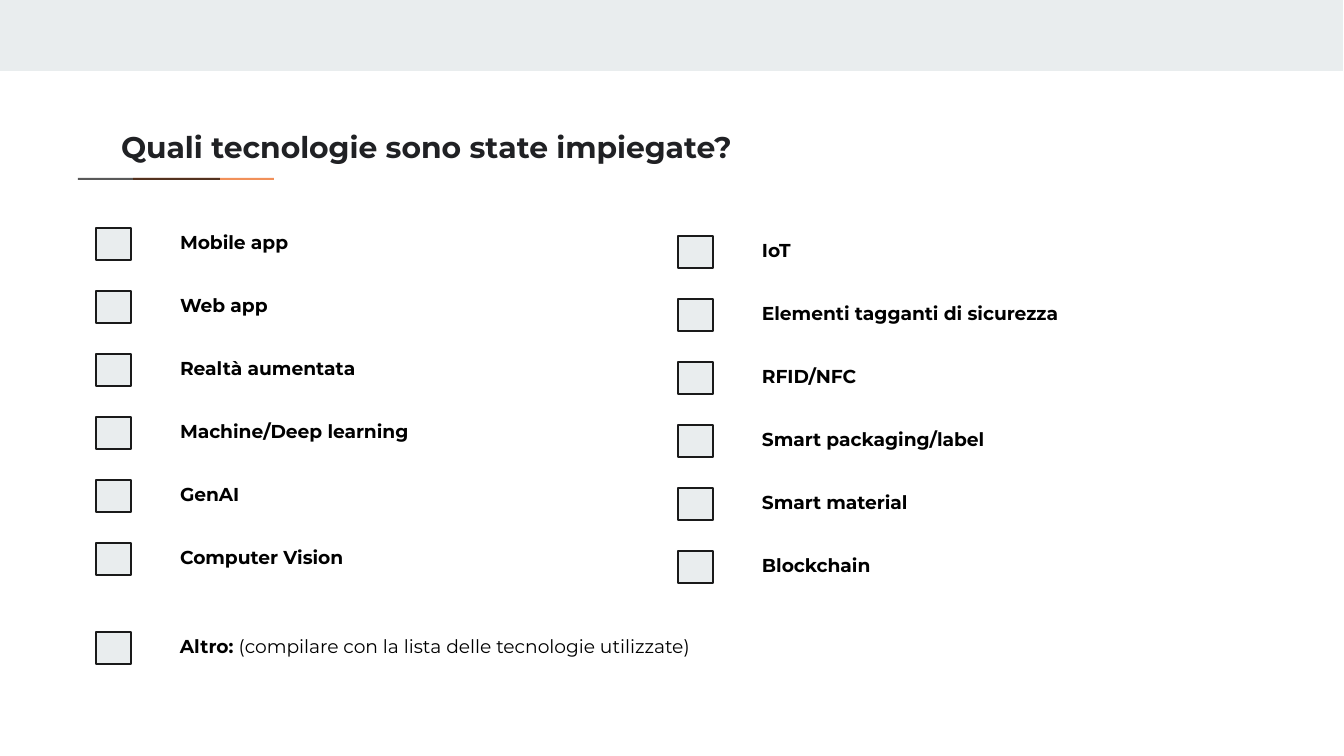
import pptx
import pptx.util
import pptx.dml.color
import pptx.enum.shapes
import pptx.enum.text
import pptx.oxml.ns
import lxml.etree
from dataclasses import dataclass

EMU_PER_PX = 914400 / 134.4


@dataclass(frozen=True)
class Theme:
    font: str = "Montserrat"
    title_size: int = 16
    item_size: int = 10
    title: str = "202124"
    text: str = "000000"
    panel: str = "E9EDEE"
    outline: str = "1A1A1A"
    accent: str = "EB5600"
    rule: str = "000000"


THEME = Theme()
LEFT_ITEMS = ["Mobile app", "Web app", "Realtà aumentata",
              "Machine/Deep learning", "GenAI", "Computer Vision"]
RIGHT_ITEMS = ["IoT", "Elementi tagganti di sicurezza", "RFID/NFC",
               "Smart packaging/label", "Smart material", "Blockchain"]
LEFT_X, RIGHT_X = 96, 678
LEFT_Y, RIGHT_Y, OTHER_Y = 228, 236, 632
ROW_STEP = 63
ITEM_WIDTH, WIDE_ITEM_WIDTH, OTHER_WIDTH = 282, 445, 1101


def px(n):
    return pptx.util.Emu(round(n * EMU_PER_PX))


def rgb(value):
    return pptx.dml.color.RGBColor.from_string(value)


def add_rect(s, x, y, w, h, fill, line=None, alpha=None):
    sp = s.shapes.add_shape(pptx.enum.shapes.MSO_SHAPE.RECTANGLE,
                            px(x), px(y), px(w), px(h))
    sp.shadow.inherit = False
    sp.fill.solid()
    sp.fill.fore_color.rgb = rgb(fill)
    if line:
        sp.line.color.rgb = rgb(line)
        sp.line.width = pptx.util.Pt(0.75)
    else:
        sp.line.fill.background()
    if alpha is not None:
        color = sp.fill._xPr.find(".//" + pptx.oxml.ns.qn("a:srgbClr"))
        node = lxml.etree.SubElement(color, pptx.oxml.ns.qn("a:alpha"))
        node.set("val", str(alpha * 1000))
    return sp


def add_text(s, x, y, w, h, runs, *, size, color,
             anchor=pptx.enum.text.MSO_ANCHOR.MIDDLE, pad_x=13, pad_y=0):
    tf = s.shapes.add_textbox(px(x), px(y), px(w), px(h)).text_frame
    tf.word_wrap = True
    tf.vertical_anchor = anchor
    tf.margin_left = tf.margin_right = px(pad_x)
    tf.margin_top = tf.margin_bottom = px(pad_y)
    p = tf.paragraphs[0]
    for text, bold in runs:
        r = p.add_run()
        r.text = text
        r.font.name = THEME.font
        r.font.size = pptx.util.Pt(size)
        r.font.bold = bold
        r.font.color.rgb = rgb(color)


def add_check_item(s, x, y, runs, width=ITEM_WIDTH):
    add_text(s, x + 71, y - 8, width, 44, runs,
             size=THEME.item_size, color=THEME.text)
    add_rect(s, x, y, 35, 32, THEME.panel, line=THEME.outline)


def add_checklist(s, x, y, items, width):
    for i, item in enumerate(items):
        add_check_item(s, x, y + i * ROW_STEP, [(item, True)], width)


def add_header(s):
    add_rect(s, 0, 0, 1343, 71, THEME.panel)
    add_rect(s, 133, 178, 141, 2, THEME.accent, alpha=65)
    add_rect(s, 78, 178, 142, 2, THEME.rule, alpha=65)
    add_text(s, 108, 116, 1129, 59,
             [("Quali tecnologie sono state impiegate?", True)],
             size=THEME.title_size, color=THEME.title,
             anchor=pptx.enum.text.MSO_ANCHOR.TOP, pad_y=13)


def main():
    prs = pptx.Presentation()
    prs.slide_width, prs.slide_height = px(1344), px(756)
    s = prs.slides.add_slide(prs.slide_layouts[6])
    add_header(s)
    add_checklist(s, LEFT_X, LEFT_Y, LEFT_ITEMS, ITEM_WIDTH)
    add_check_item(s, LEFT_X, OTHER_Y, [
        ("Altro: ", True),
        ("(compilare con la lista delle tecnologie utilizzate)", False),
    ], OTHER_WIDTH)
    add_checklist(s, RIGHT_X, RIGHT_Y, RIGHT_ITEMS, WIDE_ITEM_WIDTH)
    prs.save("out.pptx")


if __name__ == "__main__":
    main()
